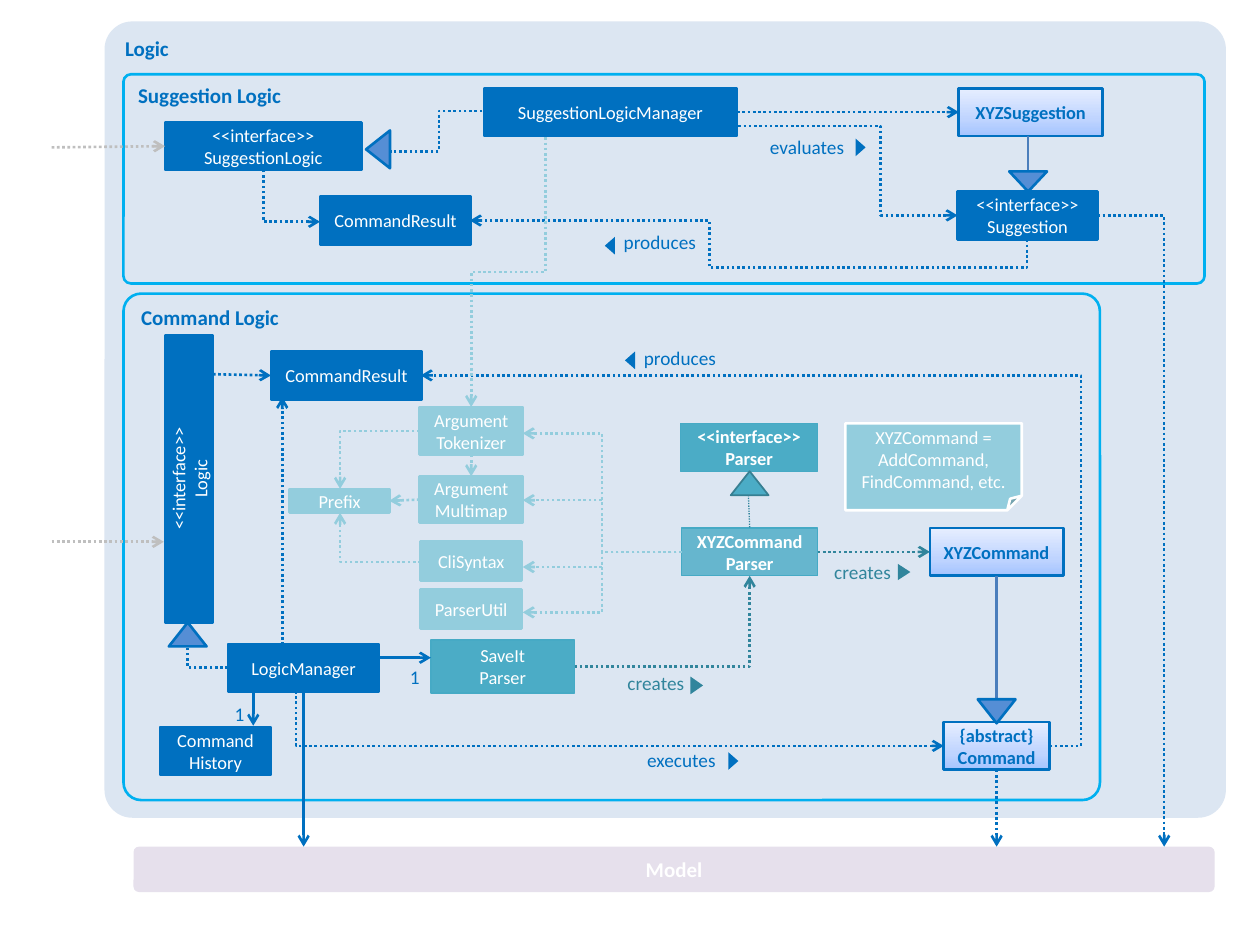
"""Builds the class diagram slide of the Logic component."""
from copy import deepcopy

from lxml import etree
from pptx import Presentation
from pptx.dml.color import RGBColor
from pptx.enum.dml import MSO_LINE
from pptx.enum.shapes import MSO_CONNECTOR, MSO_SHAPE
from pptx.enum.text import MSO_ANCHOR, PP_ALIGN
from pptx.oxml.ns import qn
from pptx.util import Pt

PX = 9144
RECT, ROUND = MSO_SHAPE.RECTANGLE, MSO_SHAPE.ROUNDED_RECTANGLE
FOLDED, TRIANGLE = MSO_SHAPE.FOLDED_CORNER, MSO_SHAPE.ISOSCELES_TRIANGLE
STRAIGHT, ELBOW = MSO_CONNECTOR.STRAIGHT, MSO_CONNECTOR.ELBOW
DOTTED = MSO_LINE.ROUND_DOT
TOP, MIDDLE = MSO_ANCHOR.TOP, MSO_ANCHOR.MIDDLE
LEFT, CENTER, RIGHT = PP_ALIGN.LEFT, PP_ALIGN.CENTER, PP_ALIGN.RIGHT
COLORS = {
    "blue": "0070C0", "sky": "00B0F0", "panel": "DCE6F2", "lilac": "E6E0EC",
    "teal": "4BACC6", "teal_edge": "46AAC5", "teal_dark": "31859C",
    "teal_line": "377F92", "pale": "93CDDD", "arrowhead": "558ED5",
    "steel": "4B7EBC", "gray": "BFBFBF", "white": "FFFFFF",
}
COLORS = {name: RGBColor.from_string(code) for name, code in COLORS.items()}
CONCRETE_STOPS = [(0, "A4C4FF"), (0.35, "BFD4FF"), (1, "E6EEFF")]
STYLES = {
    "panel": ("panel", None, 0, "blue", True, 12, LEFT, TOP),
    "frame": (None, "sky", 1.5, "blue", True, 12, LEFT, TOP),
    "model": ("lilac", None, 0, "white", True, 12, CENTER, MIDDLE),
    "blue": ("blue", "blue", 1.5, "white", False, 10.5, CENTER, MIDDLE),
    "concrete": ("gradient", "blue", 1.5, "blue", True, 10.5, CENTER, MIDDLE),
    "teal": ("teal", "teal_edge", 0.75, "white", False, 10.5, CENTER, MIDDLE),
    "parser": ("teal", "teal_edge", 0.75, "white", True, 10.5, CENTER, MIDDLE),
    "pale": ("pale", "pale", 1.5, "white", False, 10.5, CENTER, MIDDLE),
    "note": ("pale", "white", 1.5, "white", False, 10.5, CENTER, MIDDLE),
    "inherit": ("arrowhead", "blue", 1.5, "white", False, 10.5, CENTER, MIDDLE),
    "inherit_teal": ("teal", "teal_line", 1, "white", False, 10.5, CENTER, MIDDLE),
    "mark_blue": ("blue", None, 0, "white", False, 10.5, CENTER, MIDDLE),
    "mark_teal": ("teal_dark", None, 0, "white", False, 10.5, CENTER, MIDDLE),
}


def add_part(shapes, kind, box, style, text="", turn=0):
    fill, edge, width, ink, bold, size, align, anchor = STYLES[style]
    part = shapes.add_shape(kind, *(n * PX for n in box))
    part.shadow.inherit = False
    part.rotation = turn
    if kind == ROUND:
        part.adjustments[0] = 0.12 if style == "model" else 0.035
    if fill == "gradient":
        part.fill.gradient()
        part.fill.gradient_angle = 90
        stops = part._element.spPr.find(qn("a:gradFill")).find(qn("a:gsLst"))
        stops.insert(1, deepcopy(stops[0]))
        for stop, (position, code) in zip(part.fill.gradient_stops, CONCRETE_STOPS):
            stop.position = position
            stop.color.rgb = RGBColor.from_string(code)
    elif fill:
        part.fill.solid()
        part.fill.fore_color.rgb = COLORS[fill]
    else:
        part.fill.background()
    if edge:
        part.line.color.rgb = COLORS[edge]
        part.line.width = Pt(width)
    else:
        part.line.fill.background()
    if text:
        part.text_frame.text = text
        part.text_frame.word_wrap = True
        part.text_frame.vertical_anchor = anchor
        look = {"name": "Calibri", "size": Pt(size), "bold": bold}
        for paragraph in part.text_frame.paragraphs:
            paragraph.alignment = align
            paragraph.font.color.rgb = COLORS[ink]
            for attribute, value in look.items():
                setattr(paragraph.font, attribute, value)
    return part


def style_link(link, color, arrow="tailEnd", dash=DOTTED, width=1.5):
    link.line.color.rgb = COLORS[color]
    link.line.width = Pt(width)
    if dash:
        link.line.dash_style = dash
    properties = link._element.spPr
    if arrow:
        etree.SubElement(properties.find(qn("a:ln")), qn("a:" + arrow), type="arrow")
    etree.SubElement(properties, qn("a:effectLst"))


presentation = Presentation()
presentation.slide_width, presentation.slide_height = 1000 * PX, 750 * PX
slide = presentation.slides.add_slide(presentation.slide_layouts[6])

components = {
    "logic": (ROUND, (83, 17, 890, 632), "panel", "Logic"),
    "command logic": (ROUND, (98, 233, 775, 402), "frame", "Command Logic"),
    "suggestion logic": (ROUND, (98, 59, 858, 166), "frame", "Suggestion Logic"),
    "model": (ROUND, (106, 672, 858, 36), "model", "Model"),
    "result": (RECT, (215, 279, 120, 38), "blue", "CommandResult"),
    "xyz command": (RECT, (738, 419, 106, 38), "concrete", "XYZCommand"),
    "manager": (RECT, (181, 511, 120, 38), "blue", "LogicManager"),
    "command": (RECT, (749, 573, 84, 38), "concrete", "{abstract}\vCommand"),
    "saveit parser": (RECT, (342, 508, 114, 42), "teal", "SaveIt\nParser"),
    "logic interface": (RECT, (36, 361, 228, 38), "blue", "<<interface>>\nLogic", 270),
    "tokenizer": (RECT, (333, 323, 82, 38), "pale", "Argument\vTokenizer"),
    "multimap": (RECT, (333, 378, 82, 37), "pale", "Argument\vMultimap"),
    "prefix": (RECT, (230, 388, 79, 19), "pale", "Prefix"),
    "syntax": (RECT, (334, 430, 80, 31), "pale", "CliSyntax"),
    "parser util": (RECT, (334, 468, 80, 31), "pale", "ParserUtil"),
    "history": (RECT, (127, 577, 88, 38), "blue", "Command\nHistory"),
    "parser": (RECT, (540, 336, 109, 38), "parser", "<<interface>>\nParser"),
    "xyz parser": (RECT, (541, 419, 108, 38), "parser", "XYZCommand\nParser"),
    "note": (FOLDED, (671, 336, 140, 69), "note",
             "XYZCommand = AddCommand, FindCommand, etc."),
    "suggestion interface": (RECT, (131, 97, 156, 38), "blue",
                             "<<interface>>\nSuggestionLogic"),
    "suggestion manager": (RECT, (384, 70, 201, 38), "blue", "SuggestionLogicManager"),
    "xyz suggestion": (RECT, (761, 70, 114, 38), "concrete", "XYZSuggestion"),
    "suggestion": (RECT, (760, 152, 111, 38), "blue", "<<interface>>\nSuggestion"),
    "suggestion result": (RECT, (254, 156, 120, 38), "blue", "CommandResult"),
}
parts = {name: add_part(slide.shapes, *row) for name, row in components.items()}
parser_fill = parts["xyz parser"]._element.spPr.find(qn("a:solidFill"))
etree.SubElement(parser_fill[0], qn("a:alpha"), val="81000")

straight_links = [
    (("command", 2), (791, 672), "blue"),
    (("manager", 2), (241, 672), "blue", "tailEnd", None),
    ((201, 550), (201, 576), "blue", "tailEnd", None),
    ((302, 522), (342, 522), "blue", "tailEnd", None),
    ((169, 297), ("result", 1), "blue"),
    ((41, 430), (130, 430), "gray"),
    ((41, 117), ("suggestion interface", 1), "gray"),
    ((224, 512), (224, 315), "blue"),
    ((791, 555), ("xyz command", 2), "steel", None, None),
    ((816, 136), (816, 108), "steel", None, None),
    (("xyz parser", 3), ("xyz command", 1), "teal_dark"),
    (("multimap", 1), ("prefix", 3), "pale"),
    (("tokenizer", 2), ("multimap", 0), "pale"),
    ((594, 393), ("xyz parser", 0), "teal_dark", None, DOTTED, 0.75),
    (("suggestion manager", 3), ("xyz suggestion", 1), "blue"),
]
for start, end, *look in straight_links:
    joins = [isinstance(point[0], str) for point in (start, end)]
    x1, y1 = (0, 0) if joins[0] else start
    x2, y2 = (0, 0) if joins[1] else end
    link = slide.shapes.add_connector(STRAIGHT, x1 * PX, y1 * PX, x2 * PX, y2 * PX)
    if joins[0]:
        link.begin_connect(parts[start[0]], start[1])
    if joins[1]:
        link.end_connect(parts[end[0]], end[1])
    style_link(link, *look)

elbow_links = [
    ((833, 592), (334, 298), [-0.05], False, "blue"),
    ((181, 530), (149, 513), [], False, "blue", None),
    ((749, 592), (235, 550), [], False, "blue", "headEnd"),
    ((334, 446), (270, 407), [], False, "pale"),
    ((333, 342), (270, 388), [], False, "pale"),
    *(((541, 438), (415, y), [0.5], False, "pale") for y in (344, 397, 450, 486)),
    ((456, 529), (595, 457), [], False, "teal_dark"),
    ((387, 88), (310, 120), [0.5], False, "blue", None),
    ((586, 100), (760, 171), [0.65], False, "blue"),
    ((871, 171), (924, 672), [], False, "blue"),
    ((254, 176), (209, 134), [], False, "blue", "headEnd"),
    ((815, 190), (373, 175), [-1.5, 0.57], True, "blue"),
    ((433, 109), (374, 323), [0.5], True, "pale"),
]
for (x1, y1), (x2, y2), bends, downward, *look in elbow_links:
    run, rise = (y2 - y1, x1 - x2) if downward else (x2 - x1, y2 - y1)
    left, top = x1 + x2 - run, y1 + y2 - rise
    corners = (left, top, left + 2 * run, top + 2 * rise)
    link = slide.shapes.add_connector(ELBOW, *(n * PX // 2 for n in corners))
    link.rotation = 90 if downward else 0
    geometry = link._element.spPr.find(qn("a:prstGeom"))
    geometry.set("prst", f"bentConnector{len(bends) + 2}")
    for number, bend in enumerate(bends, 1):
        name = f"adj{number}"
        etree.SubElement(geometry.find(qn("a:avLst")), qn("a:gd"),
                         name=name, fmla=f"val {round(bend * 100000)}")
    style_link(link, *look)

for box, style, turn in [
    ((134, 494, 30, 19), "inherit", 0),
    ((776, 555, 30, 19), "inherit", 180),
    ((580, 374, 30, 19), "inherit_teal", 0),
    ((285, 109, 30, 19), "inherit", 270),
    ((801, 136, 30, 16), "inherit", 180),
]:
    add_part(slide.shapes, TRIANGLE, box, style, "", turn)

captions = [
    ("executes", (488, 594, 80, 25), RIGHT, "blue", (575, 600, 14, 8), 90),
    ("produces", (511, 275, 80, 25), LEFT, "blue", (493, 282, 14, 8), 270),
    ("creates", (498, 533, 61, 28), LEFT, "teal_dark", (546, 539, 14, 10), 90),
    ("creates", (662, 445, 65, 24), LEFT, "teal_dark", (711, 449, 13, 10), 90),
    ("evaluates", (590, 107, 80, 25), RIGHT, "blue", (676, 113, 14, 8), 90),
    ("produces", (495, 183, 80, 25), LEFT, "blue", (477, 191, 14, 8), 270),
    ("1", (319, 528, 14, 25), RIGHT, "blue", None, 0),
    ("1", (180, 557, 14, 25), RIGHT, "blue", None, 0),
]
for wording, box, align, color, pointer, turn in captions:
    shapes = slide.shapes.add_group_shape().shapes if pointer else slide.shapes
    frame = shapes.add_textbox(*(n * PX for n in box)).text_frame
    margins = dict.fromkeys(("margin_left", "margin_top", "margin_right", "margin_bottom"), 0)
    for attribute, value in {**margins, "word_wrap": True, "text": wording}.items():
        setattr(frame, attribute, value)
    caption = frame.paragraphs[0]
    caption.alignment = align
    caption.font.color.rgb = COLORS[color]
    for attribute, value in {"name": "Calibri", "size": Pt(11)}.items():
        setattr(caption.font, attribute, value)
    if pointer:
        mark = "mark_blue" if color == "blue" else "mark_teal"
        add_part(shapes, TRIANGLE, pointer, mark, "", turn)

presentation.save("out.pptx")
